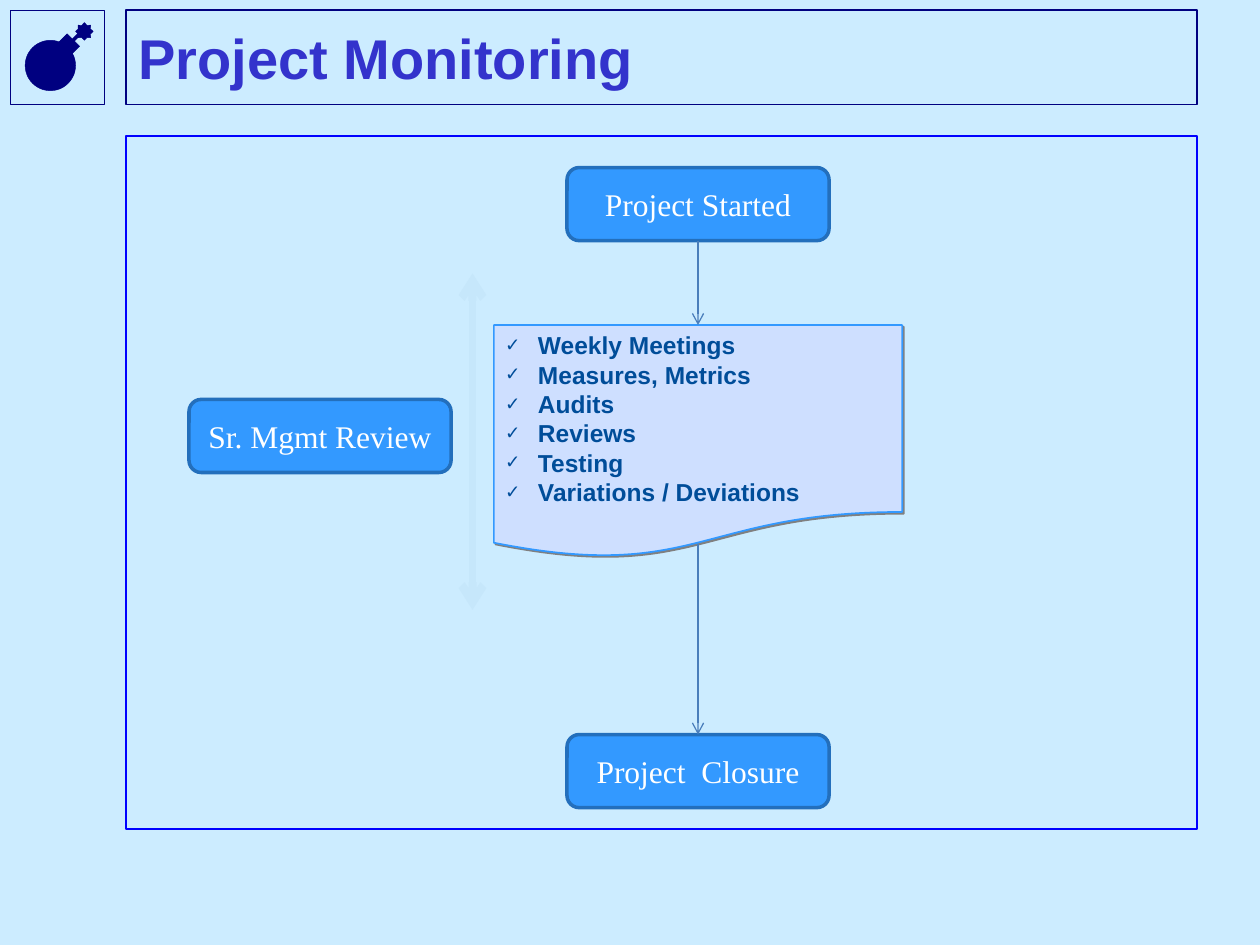
from dataclasses import dataclass

from lxml.etree import SubElement
from pptx import Presentation
from pptx.dml.color import RGBColor as Color
from pptx.enum.shapes import MSO_CONNECTOR as Connector, MSO_SHAPE as Shape
from pptx.enum.text import MSO_ANCHOR as Anchor, PP_ALIGN as Align
from pptx.oxml.ns import qn
from pptx.util import Inches, Pt


@dataclass(frozen=True)
class Theme:
    background: str = "CCECFF"
    navy: str = "000080"
    frame: str = "0000FF"
    title: str = "3333CC"
    bright: str = "3399FF"
    step_edge: str = "236FBC"
    step_text: str = "FFFFFF"
    document: str = "CEDFFF"
    document_text: str = "004D99"
    shadow: str = "808080"
    arrow: str = "4A7EBB"
    pale_arrow: str = "C6E7FB"
    sans: str = "Arial"
    serif: str = "Times New Roman"
    title_size: int = 32
    step_size: int = 18
    list_size: int = 14


def add_element(parent, tag, **attributes):
    return SubElement(parent, qn(tag), attributes)


def write_text(para, text, *, size, color, font, bold=False, align=Align.LEFT):
    para.alignment = align
    span = para.add_run()
    span.text = text
    span.font.size = Pt(size)
    span.font.name = font
    span.font.bold = bold
    span.font.color.rgb = Color.from_string(color)


class SlideBuilder:
    def __init__(self, page, theme):
        self.page = page
        self.theme = theme
        page.background.fill.solid()
        page.background.fill.fore_color.rgb = Color.from_string(theme.background)

    def shape(self, kind, left, top, width, height, line, weight, fill=None):
        box = self.page.shapes.add_shape(
            kind, Inches(left), Inches(top), Inches(width), Inches(height))
        box.shadow.inherit = False
        if fill:
            box.fill.solid()
            box.fill.fore_color.rgb = Color.from_string(fill)
        else:
            box.fill.background()
        box.line.color.rgb = Color.from_string(line)
        box.line.width = Pt(weight)
        return box

    def frame(self, left, top, width, height, line, weight=0.75):
        return self.shape(Shape.RECTANGLE, left, top, width, height, line, weight)

    def title(self, text, left, top, width, height):
        box = self.page.shapes.add_textbox(
            Inches(left), Inches(top), Inches(width), Inches(height))
        box.text_frame.word_wrap = True
        box.text_frame.vertical_anchor = Anchor.MIDDLE
        write_text(box.text_frame.paragraphs[0], text, size=self.theme.title_size,
                   color=self.theme.title, font=self.theme.sans, bold=True)
        return box

    def bomb(self, left, top):
        navy = self.theme.navy
        self.shape(Shape.OVAL, left, top + 0.14, 0.4, 0.4, navy, 0.25, navy)
        neck = self.shape(Shape.RECTANGLE, left + 0.27, top + 0.12,
                          0.14, 0.12, navy, 0.25, navy)
        neck.rotation = 45
        self.line(left + 0.36, top + 0.16, left + 0.46, top + 0.06, navy, 2)
        self.shape(Shape.STAR_8_POINT, left + 0.4, top, 0.14, 0.14,
                   navy, 0.25, navy)

    def step(self, text, left, top):
        theme = self.theme
        box = self.shape(Shape.ROUNDED_RECTANGLE, left, top, 2.08, 0.58,
                         theme.step_edge, 2, theme.bright)
        box.text_frame.vertical_anchor = Anchor.MIDDLE
        write_text(box.text_frame.paragraphs[0], text, size=theme.step_size,
                   color=theme.step_text, font=theme.serif, align=Align.CENTER)
        return box

    def document(self, items, left, top, width, height):
        theme = self.theme
        box = self.shape(Shape.FLOWCHART_DOCUMENT, left, top, width, height,
                         theme.bright, 1, theme.document)
        effects = box.element.spPr.find(qn("a:effectLst"))
        shadow = add_element(effects, "a:outerShdw", dist=str(Pt(1.4)),
                             dir="2700000", algn="ctr", rotWithShape="0")
        add_element(shadow, "a:srgbClr", val=theme.shadow)
        frame = box.text_frame
        frame.word_wrap = True
        frame.vertical_anchor = Anchor.TOP
        frame.margin_left = frame.margin_right = Inches(0.09)
        frame.margin_top = frame.margin_bottom = Inches(0.04)
        for index, item in enumerate(items):
            para = frame.add_paragraph() if index else frame.paragraphs[0]
            self.check_mark(para)
            write_text(para, item, size=theme.list_size,
                       color=theme.document_text, font=theme.sans, bold=True)
        return box

    def check_mark(self, para):
        props = para._p.get_or_add_pPr()
        props.set("marL", str(Inches(0.26)))
        props.set("indent", str(-Inches(0.26)))
        color = add_element(props, "a:buClr")
        add_element(color, "a:srgbClr", val=self.theme.document_text)
        add_element(props, "a:buSzPct", val="75000")
        add_element(props, "a:buFont", typeface=self.theme.sans)
        add_element(props, "a:buChar", char="✓")

    def line(self, left, top, right, bottom, color, weight):
        line = self.page.shapes.add_connector(
            Connector.STRAIGHT, Inches(left), Inches(top),
            Inches(right), Inches(bottom))
        line.line.color.rgb = Color.from_string(color)
        line.line.width = Pt(weight)
        add_element(line._element.spPr, "a:effectLst")
        return line

    def arrow(self, x, top, bottom, color, weight=0.75, both=False,
              source=None, target=None):
        line = self.line(x, top, x, bottom, color, weight)
        if source is not None:
            line.begin_connect(source, 2)
        if target is not None:
            line.end_connect(target, 0)
        stroke = line.line._get_or_add_ln()
        if both:
            add_element(stroke, "a:headEnd", type="arrow")
        add_element(stroke, "a:tailEnd", type="arrow")
        return line


def main():
    theme = Theme()
    deck = Presentation()
    deck.slide_width, deck.slide_height = Inches(10), Inches(7.5)
    builder = SlideBuilder(deck.slides.add_slide(deck.slide_layouts[6]), theme)

    builder.bomb(0.2, 0.18)
    builder.frame(0.08, 0.08, 0.75, 0.75, theme.navy, 0.25)
    builder.frame(1, 0.08, 8.5, 0.75, theme.navy)
    builder.frame(1, 1.08, 8.5, 5.5, theme.frame)
    builder.title("Project Monitoring", 1, 0.08, 8.5, 0.75)

    builder.step("Sr. Mgmt Review", 1.5, 3.17)
    activities = builder.document(
        ["Weekly Meetings", "Measures, Metrics", "Audits", "Reviews",
         "Testing", "Variations / Deviations"], 3.92, 2.58, 3.24, 1.85)
    started = builder.step("Project Started", 4.5, 1.33)
    closure = builder.step("Project  Closure", 4.5, 5.83)

    builder.arrow(5.54, 1.93, 2.58, theme.arrow, source=started, target=activities)
    builder.arrow(5.54, 4.32, 5.82, theme.arrow, target=closure)
    builder.arrow(3.75, 2.17, 4.84, theme.pale_arrow, weight=4.5, both=True)

    deck.save("out.pptx")


if __name__ == "__main__":
    main()
